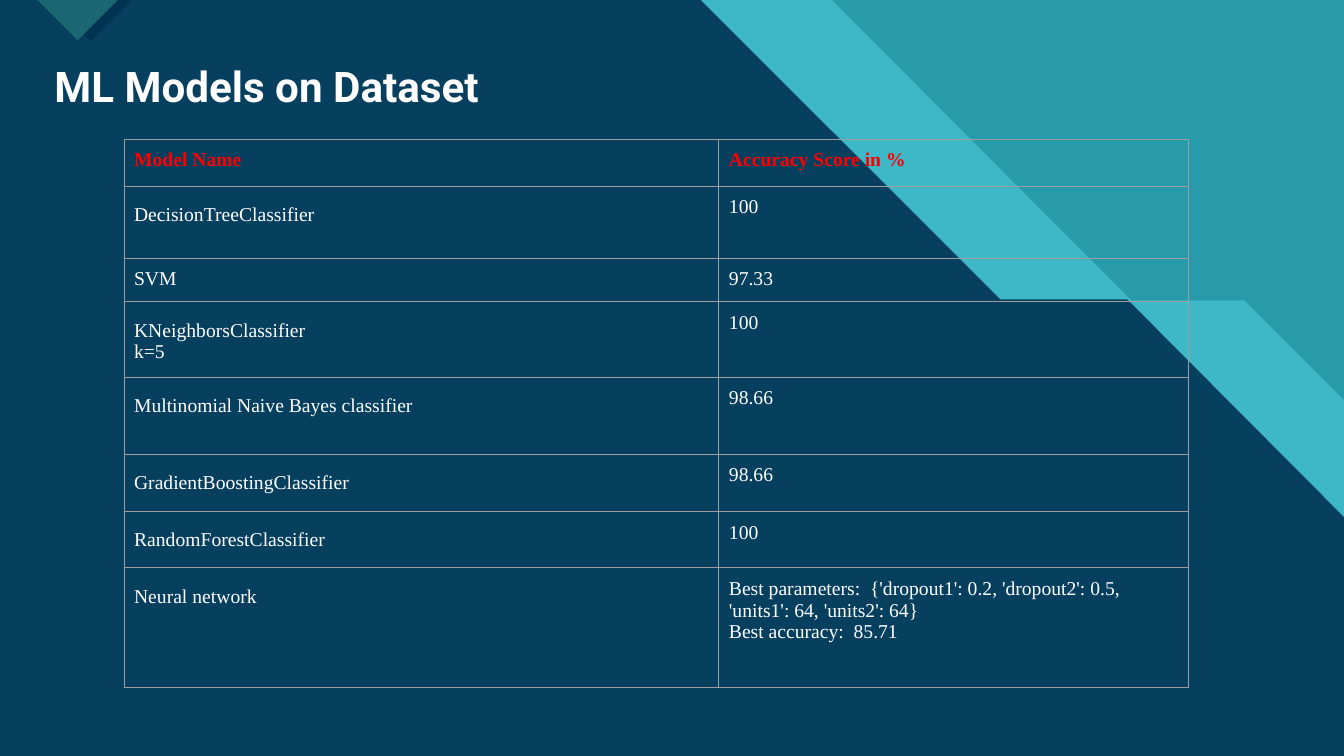
import pptx
import pptx.dml.color
import pptx.enum.text
import pptx.oxml
import pptx.oxml.ns
import pptx.util
import lxml.etree

PX = 9144  # 100 px to the inch
THEME = {
    "teal": "289BAA", "aqua": "47C3D3", "navy": "003252", "green": "1B6771",
    "white": "FFFFFF", "red": "FF0000", "grid": "9E9E9E",
    "title_font": "Roboto", "body_font": "Times New Roman",
    "title_size": 30.1, "body_size": 14, "grid_width": 0.75,
}
WIDTH, HEIGHT = 1333, 750


def rgb(name):
    return pptx.dml.color.RGBColor.from_string(THEME[name])


def style_paragraph(p, kind, color, bold, spacing):
    p.line_spacing = spacing
    for r in p.runs:
        r.font.name = THEME[kind + "_font"]
        r.font.size = pptx.util.Pt(THEME[kind + "_size"])
        r.font.bold = bold
        r.font.color.rgb = rgb(color)


prs = pptx.Presentation()
prs.slide_width, prs.slide_height = WIDTH * PX, HEIGHT * PX
s = prs.slides.add_slide(prs.slide_layouts[6])
s.background.fill.solid()
s.background.fill.fore_color.rgb = rgb("teal")

# Background bands and the corner chevron: colour, opacity in %, outline
outlines = [
    ("aqua", 73, [(0, 0), (825, 0), (1122, 298), (1234, 298), (WIDTH, 397),
                  (WIDTH, HEIGHT), (0, HEIGHT)]),
    ("navy", 89, [(0, 0), (695, 0), (992, 297), (1118, 297), (WIDTH, 513),
                  (WIDTH, HEIGHT), (0, HEIGHT)]),
    ("navy", 100, [(48, 0), (131, 0), (90, 41)]),
    ("green", 100, [(37, 0), (117, 0), (77, 40)]),
]
for color, opacity, points in outlines:
    builder = s.shapes.build_freeform(*points[0], scale=PX)
    builder.add_line_segments(points[1:], close=True)
    sp = builder.convert_to_shape()
    sp.shadow.inherit = False
    sp.line.fill.background()
    sp.fill.solid()
    sp.fill.fore_color.rgb = rgb(color)
    if opacity < 100:
        clr = sp.fill._xPr.find(".//" + pptx.oxml.ns.qn("a:srgbClr"))
        lxml.etree.SubElement(clr, pptx.oxml.ns.qn("a:alpha"), val=str(opacity * 1000))

# Title
sp = s.shapes.add_textbox(49 * PX, 59 * PX, 1226 * PX, 59 * PX)
tf = sp.text_frame
tf.word_wrap = True
tf.vertical_anchor = pptx.enum.text.MSO_ANCHOR.MIDDLE
tf.margin_left = tf.margin_right = tf.margin_top = tf.margin_bottom = 5 * PX
tf.text = "ML Models on Dataset"
style_paragraph(tf.paragraphs[0], "title", "white", True, 0.9)

# Table rows: height, line spacing of the model name, model, score
rows = [
    (47, 1, "Model Name", "Accuracy Score in %"),
    (71, 1.36, "DecisionTreeClassifier", "100"),
    (42, 1, "SVM", "97.33"),
    (70, 1.36, "KNeighborsClassifier\nk=5", "100"),
    (76, 1.36, "Multinomial Naive Bayes classifier", "98.66"),
    (57, 1.36, "GradientBoostingClassifier", "98.66"),
    (56, 1.36, "RandomForestClassifier", "100"),
    (119, 1.36, "Neural network",
     "Best parameters:  {'dropout1': 0.2, 'dropout2': 0.5, 'units1': 64, 'units2': 64}\n"
     "Best accuracy:  85.71"),
]
col_widths = [590, 466]
table = s.shapes.add_table(
    len(rows), len(col_widths), 123 * PX, 138 * PX,
    sum(col_widths) * PX, sum(row[0] for row in rows) * PX).table
table.first_row = table.horz_banding = False
for column, width in zip(table.columns, col_widths):
    column.width = width * PX

for i, (height, name_spacing, *texts) in enumerate(rows):
    table.rows[i].height = height * PX
    for j, text in enumerate(texts):
        cell = table.cell(i, j)
        cell.margin_left = cell.margin_right = 10 * PX
        cell.margin_top = cell.margin_bottom = 10 * PX
        cell.text_frame.text = text
        for k, p in enumerate(cell.text_frame.paragraphs):
            spacing = name_spacing if j == 0 and k == 0 else 1
            style_paragraph(p, "body", "white" if i else "red", i == 0, spacing)
        tcPr = cell._tc.get_or_add_tcPr()
        for side in ("lnL", "lnR", "lnT", "lnB"):
            tcPr.append(pptx.oxml.parse_xml(
                f'<a:{side} {pptx.oxml.ns.nsdecls("a")} w="{pptx.util.Pt(THEME["grid_width"])}">'
                f'<a:solidFill><a:srgbClr val="{THEME["grid"]}"/></a:solidFill></a:{side}>'))
        cell.fill.background()

prs.save("out.pptx")
